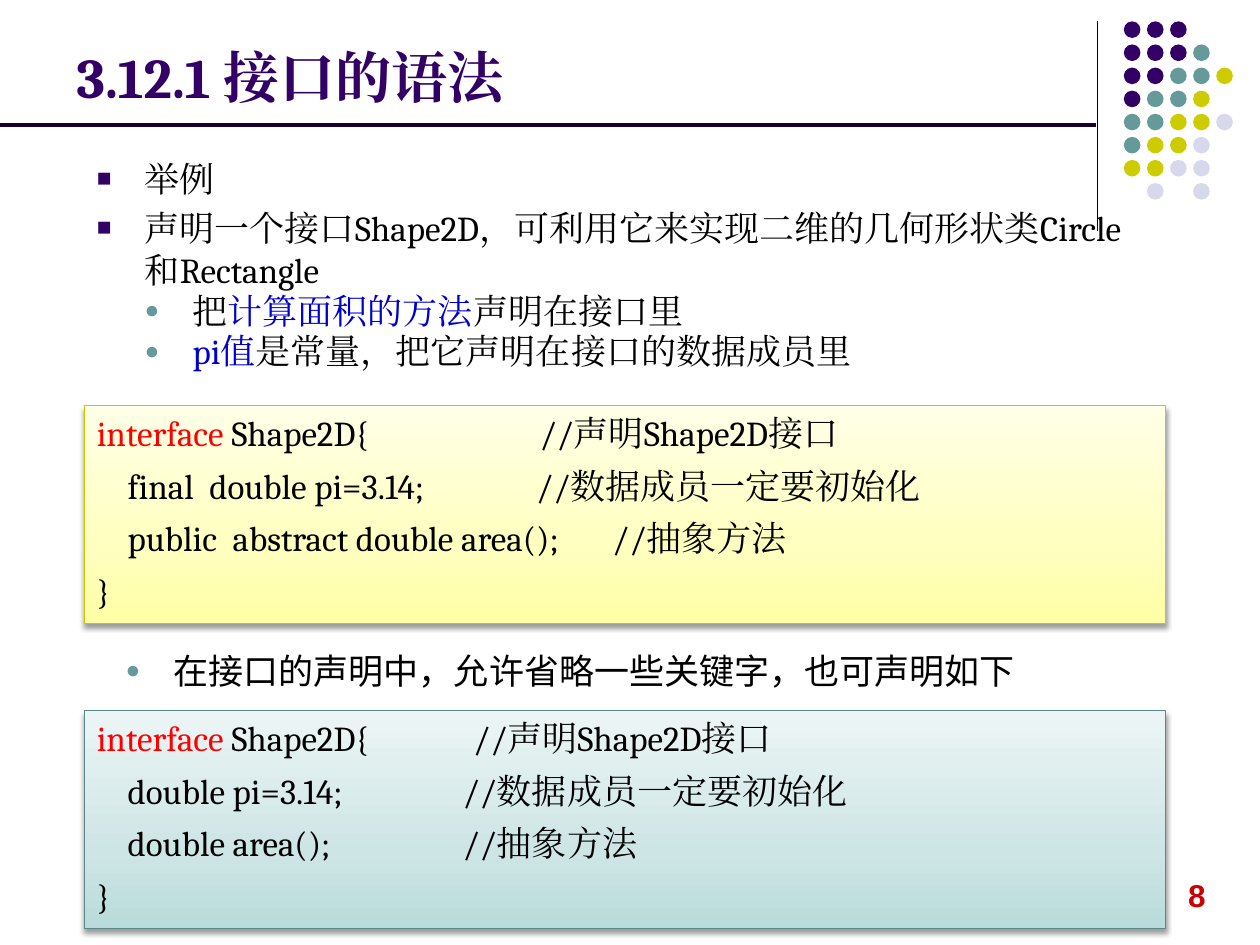
"""Build the slide on interface syntax."""
from dataclasses import dataclass
from itertools import product
from typing import Any

from pptx import Presentation
from pptx.dml.color import RGBColor
from pptx.enum.shapes import MSO_CONNECTOR, MSO_SHAPE
from pptx.enum.text import MSO_ANCHOR, PP_ALIGN
from pptx.oxml import parse_xml
from pptx.oxml.ns import nsdecls, qn
from pptx.util import Pt

HUES = {
    "purple": "330066", "teal": "669999", "lime": "CCCC00", "pale": "D8D8EC",
    "dark": "190033", "black": "000000", "blue": "0000CC", "red": "FF0000",
    "page": "CC0000", "gold": "C8C800", "sea": "598888",
}
DOTS = ["PPP  ", "PPPT ", "PPTTL", "PTTL ", "TTLLV", "TLLV ", "LLVV ", " V V "]
KEYS = {"P": "purple", "T": "teal", "L": "lime", "V": "pale"}
FACE = "Cambria"
CJK = "Noto Sans CJK SC"
STEP = 27.36


@dataclass
class Run:
    text: str
    hue: str = "black"


@dataclass
class Item:
    runs: list[Run]
    sub: bool = False


@dataclass
class Code:
    runs: list[Run]
    tab: float = 0


@dataclass
class Panel:
    top: float
    edge: str
    stops: dict[int, str]
    lines: list[Code]


def tone(name: str) -> RGBColor:
    """Return the named colour."""
    return RGBColor.from_string(HUES[name])


def node(xml: str) -> Any:
    """Return an element in the drawing namespace."""
    tag, rest = xml.split(" ", 1)
    return parse_xml(f"{tag} {nsdecls('a')} {rest}")


def put(para: Any, text: str, *, hue: str = "black", size: float = 20,
        face: str = FACE, bold: bool = False) -> None:
    """Add a formatted run to a paragraph."""
    run = para.add_run()
    run.text = text
    font = run.font
    font.size, font.bold, font.name = Pt(size), bold, face
    font.color.rgb = tone(hue)
    font._element.append(node(f'<a:ea typeface="{face}"/>'))


def frame(slide: Any, left: float, top: float, wide: float, high: float,
          wrap: bool = True) -> Any:
    """Add a text box and return its frame."""
    text = slide.shapes.add_textbox(Pt(left), Pt(top), Pt(wide), Pt(high)).text_frame
    text.word_wrap = wrap
    return text


def rows(text: Any, items: list) -> Any:
    """Yield each item with its own paragraph."""
    for num, item in enumerate(items):
        yield num, item, text.add_paragraph() if num else text.paragraphs[0]


def bullets(text: Any, items: list[Item], face: str = FACE) -> None:
    """Write a bulleted list."""
    for num, item, para in rows(text, items):
        if num:
            para.space_before = Pt(4)
        if item.sub:
            para.line_spacing = 0.8
        props = para._p.get_or_add_pPr()
        props.set("marL", str(Pt(STEP * (2 if item.sub else 1))))
        props.set("indent", str(-Pt(STEP)))
        hue, mark = ("teal", "●") if item.sub else ("purple", "■")
        props.append(node(f'<a:buClr ><a:srgbClr val="{HUES[hue]}"/></a:buClr>'))
        props.append(node('<a:buSzPct val="70000"/>'))
        props.append(node('<a:buFont typeface="Arial"/>'))
        props.append(node(f'<a:buChar char="{mark}"/>'))
        for run in item.runs:
            put(para, run.text, hue=run.hue, face=face)


def panel(slide: Any, box: Panel) -> None:
    """Draw a shaded panel of code."""
    shape = slide.shapes.add_shape(MSO_SHAPE.RECTANGLE, Pt(48.24), Pt(box.top),
                                   Pt(617.76), Pt(124.56))
    shape.fill.gradient()
    props = shape._element.spPr
    stops = "".join(f'<a:gs pos="{pos * 1000}"><a:srgbClr val="{hue}"/></a:gs>'
                    for pos, hue in box.stops.items())
    props.replace(props.find(qn("a:gradFill")), node(
        f'<a:gradFill rotWithShape="1"><a:gsLst>{stops}</a:gsLst>'
        '<a:lin ang="16200000" scaled="0"/></a:gradFill>'))
    shape.line.color.rgb = tone(box.edge)
    shape.line.width = Pt(0.75)
    shape.shadow.inherit = False
    props.find(qn("a:effectLst")).append(node(
        f'<a:outerShdw blurRad="{Pt(3.1)}" dist="{Pt(1.6)}" dir="5400000" '
        f'rotWithShape="0"><a:srgbClr val="{HUES["black"]}">'
        '<a:alpha val="38000"/></a:srgbClr></a:outerShdw>'))
    text = shape.text_frame
    text.word_wrap = False
    text.vertical_anchor = MSO_ANCHOR.TOP
    for num, line, para in rows(text, box.lines):
        para.alignment = PP_ALIGN.LEFT
        if num:
            para.space_before = Pt(6)
        if line.tab:
            para._p.get_or_add_pPr().append(node(
                f'<a:tabLst ><a:tab pos="{Pt(line.tab)}" algn="l"/></a:tabLst>'))
        for run in line.runs:
            put(para, run.text, hue=run.hue)


def rule(slide: Any, start: tuple, end: tuple, hue: str, wide: float) -> None:
    """Draw a straight line."""
    line = slide.shapes.add_connector(MSO_CONNECTOR.STRAIGHT,
                                      *map(Pt, start), *map(Pt, end))
    line.line.color.rgb = tone(hue)
    line.line.width = Pt(wide)
    line._element.spPr.append(node("<a:effectLst />"))


def dots(slide: Any) -> None:
    """Draw the grid of dots."""
    for row, col in product(range(len(DOTS)), range(5)):
        key = DOTS[row][col]
        if key in KEYS:
            dot = slide.shapes.add_shape(
                MSO_SHAPE.OVAL, Pt(642.2 + 13.2 * col), Pt(12.2 + 13.2 * row),
                Pt(9.5), Pt(9.5))
            dot.fill.solid()
            dot.fill.fore_color.rgb = tone(KEYS[key])
            dot.line.fill.background()
            dot.shadow.inherit = False


ITEMS = [
    Item([Run("举例")]),
    Item([Run("声明一个接口Shape2D，可利用它来实现二维的几何形状类Circle和Rectangle")]),
    Item([Run("把"), Run("计算面积的方法", "blue"), Run("声明在接口里")], True),
    Item([Run("pi值", "blue"), Run("是常量，把它声明在接口的数据成员里")], True),
]
NOTE = [Item([Run("在接口的声明中，允许省略一些关键字，也可声明如下")], True)]
HEAD = [Run("interface", "red"), Run(" Shape2D{\t//声明Shape2D接口")]
FULL = Panel(231.84, "gold", {0: "FFFFA5", 35: "FFFFBF", 100: "FFFFE7"}, [
    Code(HEAD, 253),
    Code([Run("    final  double pi=3.14;\t//数据成员一定要初始化")], 251),
    Code([Run("    public  abstract double area();\t//抽象方法")], 294.5),
    Code([Run("}")]),
])
BRIEF = Panel(406.08, "sea", {0: "B9DBDB", 35: "CEE5E5", 100: "ECF5F5"}, [
    Code(HEAD, 215),
    Code([Run("    double pi=3.14;\t//数据成员一定要初始化")], 209),
    Code([Run("    double area();\t//抽象方法")], 209),
    Code([Run("}")]),
])


def main() -> None:
    """Build and save the deck."""
    deck = Presentation()
    deck.slide_width, deck.slide_height = Pt(720), Pt(540)
    slide = deck.slides.add_slide(deck.slide_layouts[6])
    rule(slide, (627.1, 12.2), (627.1, 131.8), "black", 0.75)
    dots(slide)
    page = frame(slide, 671.8, 496.8, 34.6, 28.8, wrap=False)
    put(page.paragraphs[0], "8", hue="page", size=18, face="Arial", bold=True)
    title = frame(slide, 36.7, 15.1, 594, 51.1)
    title.vertical_anchor = MSO_ANCHOR.BOTTOM
    put(title.paragraphs[0], "3.12.1 接口的语法", hue="purple", size=32, bold=True)
    bullets(frame(slide, 48.24, 86.4, 601.2, 139), ITEMS)
    panel(slide, FULL)
    bullets(frame(slide, 37.4, 372.2, 572.4, 33.8), NOTE, CJK)
    panel(slide, BRIEF)
    rule(slide, (0, 71.3), (626.4, 71.3), "dark", 2.25)
    deck.save("out.pptx")


if __name__ == "__main__":
    main()
